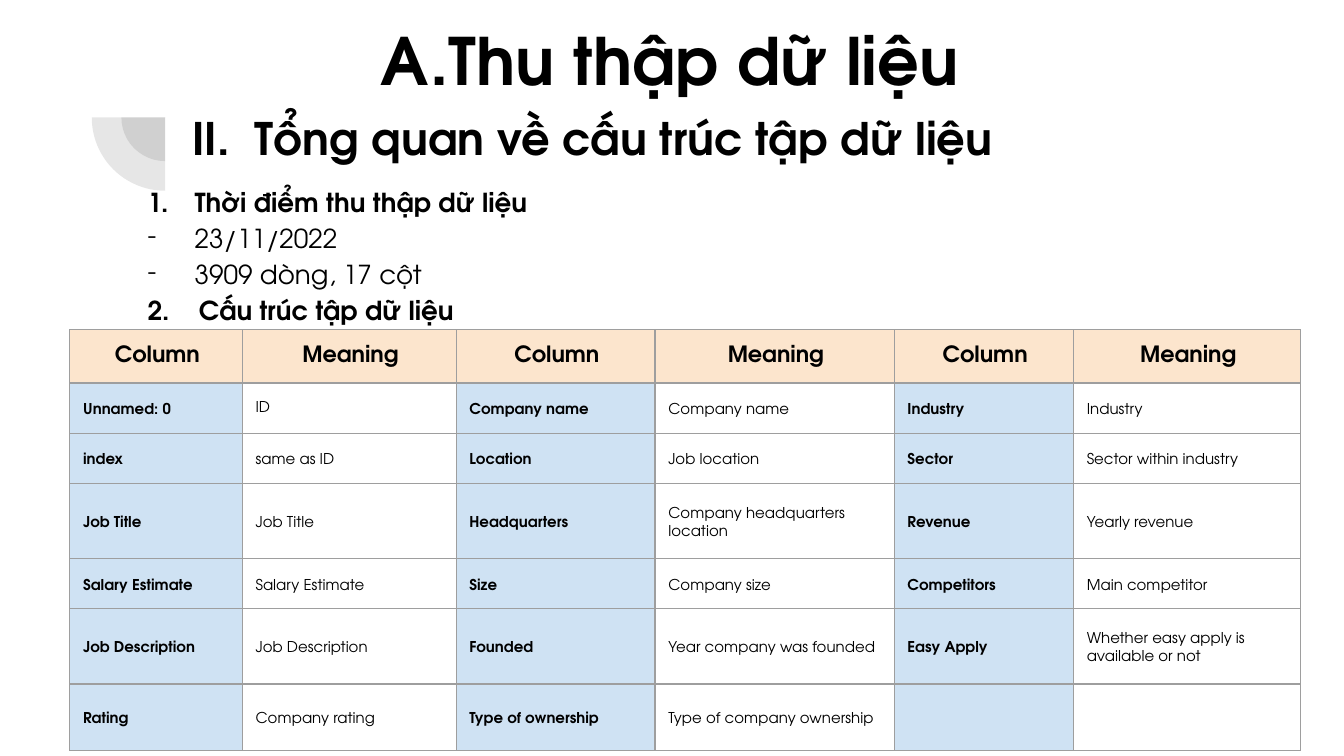
"""Build the slide that describes the structure of a job data set."""
from lxml.etree import SubElement
from pptx import Presentation
from pptx.dml.color import RGBColor
from pptx.enum.shapes import MSO_SHAPE
from pptx.enum.text import MSO_ANCHOR, MSO_AUTO_SIZE, PP_ALIGN
from pptx.oxml.ns import qn
from pptx.util import Cm, Pt

BLACK = RGBColor(0x00, 0x00, 0x00)
DARK_GRAY = RGBColor(0x42, 0x42, 0x42)
BORDER = RGBColor(0x9E, 0x9E, 0x9E)
PEACH = RGBColor(0xFC, 0xE5, 0xCD)
LIGHT_BLUE = RGBColor(0xCF, 0xE2, 0xF3)

HEADER = ["Column", "Meaning"] * 3
ROWS = [
    ["Unnamed: 0", "ID", "Company name", "Company name", "Industry", "Industry"],
    ["index", "same as ID", "Location", "Job location", "Sector", "Sector within industry"],
    ["Job Title", "Job Title", "Headquarters", "Company headquarters location",
     "Revenue", "Yearly revenue"],
    ["Salary Estimate", "Salary Estimate", "Size", "Company size",
     "Competitors", "Main competitor"],
    ["Job Description", "Job Description", "Founded", "Year company was founded",
     "Easy Apply", "Whether easy apply is available or not"],
    ["Rating", "Company rating", "Type of ownership", "Type of company ownership", "", ""],
]
COL_WIDTHS = [3.26, 4.04, 3.76, 4.52, 3.39, 4.29]
ROW_HEIGHTS = [1, 0.95, 0.95, 1.42, 0.95, 1.42, 1]
OUTLINE = [
    ("Thời điểm thu thập dữ liệu", True, 1.27, -0.89, {"type": "arabicPeriod"}),
    ("23/11/2022", False, 1.27, -0.89, {"char": "-"}),
    ("3909 dòng, 17 cột", False, 1.27, -0.89, {"char": "-"}),
    ("Cấu trúc tập dữ liệu", True, 1.35, -0.97, {"type": "arabicPeriod", "startAt": "2"}),
]


class SlideBuilder:
    """Holds the text style and the current slide."""

    font = "TeX Gyre Adventor"
    inset = Cm(0.25)

    def __init__(self, prs):
        self.s = prs.slides.add_slide(prs.slide_layouts[5])

    def paragraph(self, p, text, size, bold=False, align=PP_ALIGN.LEFT, spacing=1.0):
        p.text = text
        p.alignment = align
        p.line_spacing = spacing
        for r in p.runs or [p.add_run()]:
            r.font.name = self.font
            r.font.size = Pt(size)
            r.font.bold = bold
            r.font.color.rgb = BLACK

    def bullet(self, p, left, indent, attrs):
        pPr = p._p.get_or_add_pPr()
        pPr.set("marL", str(Cm(left)))
        pPr.set("indent", str(Cm(indent)))
        color = SubElement(pPr, qn("a:buClr"))
        SubElement(color, qn("a:srgbClr"), val=str(BLACK))
        SubElement(pPr, qn("a:buFont"), typeface=self.font)
        SubElement(pPr, qn("a:buChar" if "char" in attrs else "a:buAutoNum"), attrs)

    def frame(self, sp, auto_size):
        tf = sp.text_frame
        tf.word_wrap = True
        tf.auto_size = auto_size
        tf.vertical_anchor = MSO_ANCHOR.TOP
        tf.margin_left = tf.margin_right = tf.margin_top = tf.margin_bottom = self.inset
        return tf

    def title(self, text, x, y, w, h):
        sp = self.s.shapes.title
        sp.left, sp.top, sp.width, sp.height = Cm(x), Cm(y), Cm(w), Cm(h)
        p = self.frame(sp, MSO_AUTO_SIZE.NONE).paragraphs[0]
        self.paragraph(p, text, 35, True)
        self.bullet(p, 1.27, -1.25, {"type": "alphaUcPeriod"})

    def text_box(self, x, y, w, h):
        sp = self.s.shapes.add_textbox(Cm(x), Cm(y), Cm(w), Cm(h))
        return self.frame(sp, MSO_AUTO_SIZE.SHAPE_TO_FIT_TEXT)

    def heading(self, text, *box):
        self.paragraph(self.text_box(*box).paragraphs[0], text, 24, True)

    def outline(self, items, *box):
        tf = self.text_box(*box)
        for i, (text, bold, left, indent, attrs) in enumerate(items):
            p = tf.add_paragraph() if i else tf.paragraphs[0]
            self.paragraph(p, text, 14, bold, spacing=1.15)
            self.bullet(p, left, indent, attrs)

    def quarter(self, cx, cy, d):
        sp = self.s.shapes.add_shape(MSO_SHAPE.PIE, Cm(cx - d / 2), Cm(cy - d / 2), Cm(d), Cm(d))
        sp.adjustments[0], sp.adjustments[1] = 108, 162
        sp.rotation = 270
        sp.shadow.inherit = False
        sp.line.fill.background()
        sp.fill.solid()
        sp.fill.fore_color.rgb = DARK_GRAY
        color = sp._element.spPr.find(qn("a:solidFill"))[0]
        SubElement(color, qn("a:alpha"), val="13000")

    def borders(self, cell):
        tcPr = cell._tc.get_or_add_tcPr()
        for side in "LRTB":
            ln = SubElement(tcPr, qn(f"a:ln{side}"), w=str(Pt(0.75)))
            fill = SubElement(ln, qn("a:solidFill"))
            SubElement(fill, qn("a:srgbClr"), val=str(BORDER))

    def cell(self, cell, text, is_header, is_name):
        cell.vertical_anchor = MSO_ANCHOR.MIDDLE
        cell.margin_left = cell.margin_right = self.inset
        cell.margin_top = cell.margin_bottom = self.inset
        self.borders(cell)
        if is_header or is_name:
            cell.fill.solid()
            cell.fill.fore_color.rgb = PEACH if is_header else LIGHT_BLUE
        else:
            cell.fill.background()
        p = cell.text_frame.paragraphs[0]
        if is_header:
            self.paragraph(p, text, 12, True, PP_ALIGN.CENTER)
            p._p.get_or_add_pPr().set("marL", str(Cm(0.05)))
        else:
            self.paragraph(p, text, 8, is_name, spacing=1.0 if text == "ID" else 1.3)

    def table(self, rows, x, y):
        tbl = self.s.shapes.add_table(len(rows), len(rows[0]), Cm(x), Cm(y),
                                      Cm(sum(COL_WIDTHS)), Cm(sum(ROW_HEIGHTS))).table
        tbl.first_row = tbl.horz_banding = False
        for col, width in zip(tbl.columns, COL_WIDTHS):
            col.width = Cm(width)
        for row, height in zip(tbl.rows, ROW_HEIGHTS):
            row.height = Cm(height)
        for i, texts in enumerate(rows):
            for j, text in enumerate(texts):
                self.cell(tbl.cell(i, j), text, i == 0, j % 2 == 0)


def main():
    prs = Presentation()
    prs.slide_width, prs.slide_height = Cm(25.4), Cm(14.29)
    b = SlideBuilder(prs)
    for d in (1.65, 2.77):
        b.quarter(3.12, 2.22, d)
    b.title("Thu thập dữ liệu", 6.93, 0.13, 11.53, 2)
    b.heading("II.  Tổng quan về cấu trúc tập dữ liệu", 3.38, 1.85, 18.64, 1.55)
    b.outline(OUTLINE, 2.16, 3.18, 21.08, 3.28)
    b.table([HEADER] + ROWS, 1.32, 6.23)
    prs.save("out.pptx")


if __name__ == "__main__":
    main()
